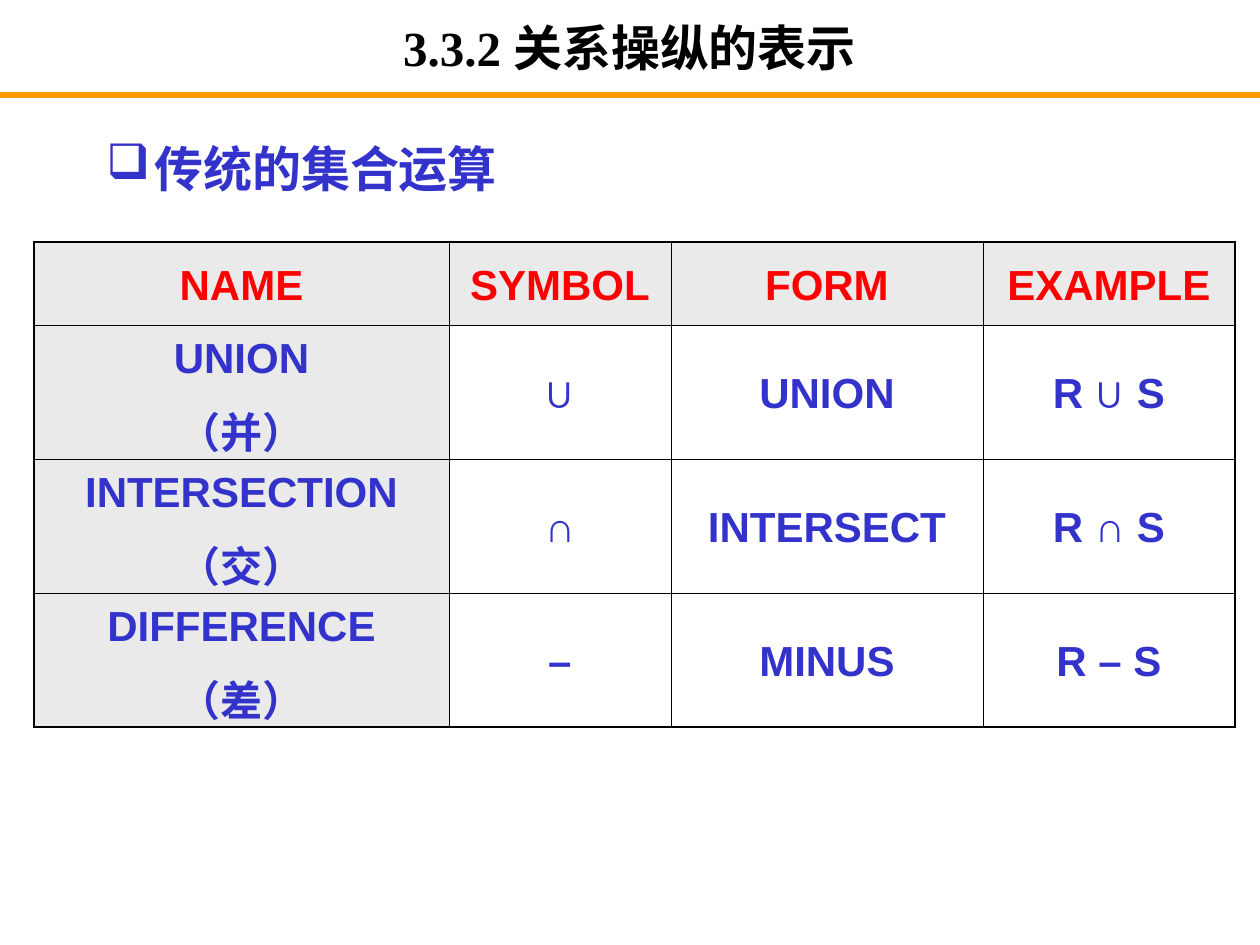
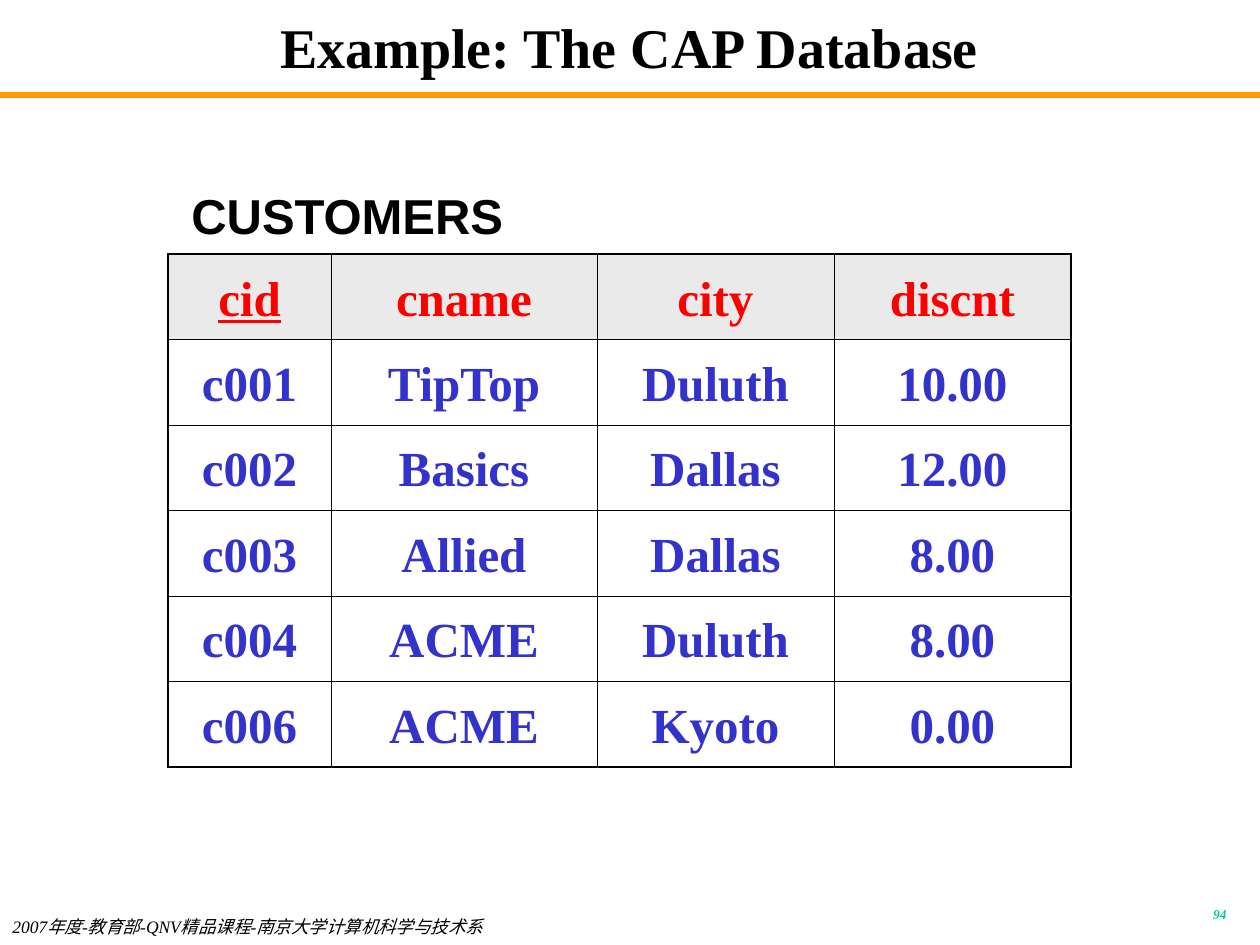
from lxml import etree
from pptx import Presentation, util as u
from pptx.dml.color import RGBColor
from pptx.enum import shapes, text
from pptx.oxml.ns import qn

# Shared look
BLACK = RGBColor(0x00, 0x00, 0x00)
BLUE = RGBColor(0x33, 0x33, 0xCC)
RED = RGBColor(0xFF, 0x00, 0x00)
ORANGE = RGBColor(0xFF, 0x99, 0x00)
GREEN = RGBColor(0x00, 0xCC, 0x99)
GRAY = RGBColor(0xEA, 0xEA, 0xEA)
SERIF, SANS, CHINESE = "Times New Roman", "Arial", "Noto Sans CJK SC"
OUTER_LINE, INNER_LINE = 1.08, 0.45
LEFT, CENTER, RIGHT = text.PP_ALIGN.LEFT, text.PP_ALIGN.CENTER, text.PP_ALIGN.RIGHT

# Content; places are left, top, width, height in px
SLIDE_WIDTH, SLIDE_HEIGHT = 1260, 945
TITLE_PLACE = (94, 10, 1071, 73)
RULE_Y = 95

OPERATIONS_TITLE = "3.3.2 关系操纵的表示"
OPERATIONS_HEADING = "传统的集合运算"
OPERATIONS = [
    ["NAME", "SYMBOL", "FORM", "EXAMPLE"],
    ["UNION\n（并）", "∪", "UNION", "R ∪ S"],
    ["INTERSECTION\n（交）", "∩", "INTERSECT", "R ∩ S"],
    ["DIFFERENCE\n（差）", "–", "MINUS", "R – S"],
]

CUSTOMERS_TITLE = "Example: The CAP Database"
CUSTOMERS_HEADING = "CUSTOMERS"
CUSTOMERS = [
    ["cid", "cname", "city", "discnt"],
    ["c001", "TipTop", "Duluth", "10.00"],
    ["c002", "Basics", "Dallas", "12.00"],
    ["c003", "Allied", "Dallas", "8.00"],
    ["c004", "ACME", "Duluth", "8.00"],
    ["c006", "ACME", "Kyoto", "0.00"],
]
FOOTER = "2007年度-教育部-QNV精品课程-南京大学计算机科学与技术系"
PAGE_NUMBER = "94"


def px(length):
    return round(length * 914400 / 126)


def style(para, size, color, face=SERIF, bold=True, italic=False, align=LEFT, spacing=None):
    para.alignment = align
    if spacing:
        para.line_spacing = spacing
    font = para.font
    font.size, font.name, font.bold, font.italic = u.Pt(size), face, bold, italic
    font.color.rgb = color
    east_asian = etree.Element(qn("a:ea"), typeface=CHINESE)
    font._element.find(qn("a:latin")).addnext(east_asian)


def add_text(page, place, words, size, color, anchor=text.MSO_ANCHOR.TOP, bullet=None, **look):
    box = page.shapes.add_textbox(*map(px, place))
    frame = box.text_frame
    frame.word_wrap = True
    frame.vertical_anchor = anchor
    para = frame.paragraphs[0]
    para.text = words
    if bullet:
        props = para._p.get_or_add_pPr()
        props.set("marL", str(px(48)))
        props.set("indent", str(px(-48)))
        etree.SubElement(props, qn("a:buChar"), char=bullet)
    style(para, size, color, **look)


def add_page(deck, title, title_size):
    page = deck.slides.add_slide(deck.slide_layouts[6])
    rule = page.shapes.add_connector(
        shapes.MSO_CONNECTOR.STRAIGHT, 0, px(RULE_Y), px(SLIDE_WIDTH), px(RULE_Y))
    rule.line.color.rgb = ORANGE
    rule.line.width = u.Pt(3)
    etree.SubElement(rule._element.spPr, qn("a:effectLst"))
    add_text(page, TITLE_PLACE, title, title_size, BLACK,
             anchor=text.MSO_ANCHOR.MIDDLE, align=CENTER)
    return page


def draw_borders(cell, outer_sides):
    props = cell._tc.get_or_add_tcPr()
    for side, is_outer in outer_sides.items():
        width = u.Pt(OUTER_LINE if is_outer else INNER_LINE)
        line = etree.SubElement(props, qn(f"a:ln{side}"), w=str(int(width)))
        fill = etree.SubElement(line, qn("a:solidFill"))
        etree.SubElement(fill, qn("a:srgbClr"), val=str(BLACK))


def add_grid(page, left, top, widths, heights, rows, size, face, gap, gray_first_column=False):
    table = page.shapes.add_table(
        len(rows), len(widths), px(left), px(top), px(sum(widths)), px(sum(heights))).table
    table.first_row = table.horz_banding = False
    for column, width in zip(table.columns, widths):
        column.width = px(width)
    for r, (row, height) in enumerate(zip(rows, heights)):
        table.rows[r].height = px(height)
        for c, words in enumerate(row):
            cell = table.cell(r, c)
            cell.text = words
            cell.vertical_anchor = text.MSO_ANCHOR.MIDDLE
            draw_borders(cell, {"L": c == 0, "R": c == len(widths) - 1,
                                "T": r == 0, "B": r == len(rows) - 1})
            if r == 0 or (gray_first_column and c == 0):
                cell.fill.solid()
                cell.fill.fore_color.rgb = GRAY
            else:
                cell.fill.background()
            for i, para in enumerate(cell.text_frame.paragraphs):
                if i:
                    para.space_before = u.Pt(gap)
                style(para, size, BLUE if r else RED, face, align=CENTER, spacing=1.1)
    return table


def build_operations(deck):
    page = add_page(deck, OPERATIONS_TITLE, 28)
    add_text(page, (94, 126, 1071, 746), OPERATIONS_HEADING, 28, BLUE,
             bullet="❑", spacing=1.1)
    add_grid(page, 34, 242, [415, 222, 312, 252], [83] + [134] * 3, OPERATIONS,
             24, SANS, gap=6, gray_first_column=True)


def build_customers(deck):
    page = add_page(deck, CUSTOMERS_TITLE, 32)
    add_text(page, (0, 910, 769, 35), FOOTER, 10, BLACK, bold=False, italic=True)
    add_text(page, (977, 903, 262, 31), PAGE_NUMBER, 7.7, GREEN,
             italic=True, align=RIGHT, spacing=0.8)
    row_height = 513 / len(CUSTOMERS)
    table = add_grid(page, 168, 254, [163, 266, 237, 237], [row_height] * len(CUSTOMERS),
                     CUSTOMERS, 28, SERIF, gap=7)
    # The key column is underlined
    table.cell(0, 0).text_frame.paragraphs[0].font.underline = True
    add_text(page, (179, 179, 368, 72), CUSTOMERS_HEADING, 28, BLACK, face=SANS)


def main():
    deck = Presentation()
    deck.slide_width, deck.slide_height = px(SLIDE_WIDTH), px(SLIDE_HEIGHT)
    build_operations(deck)
    build_customers(deck)
    deck.save("out.pptx")


if __name__ == "__main__":
    main()
